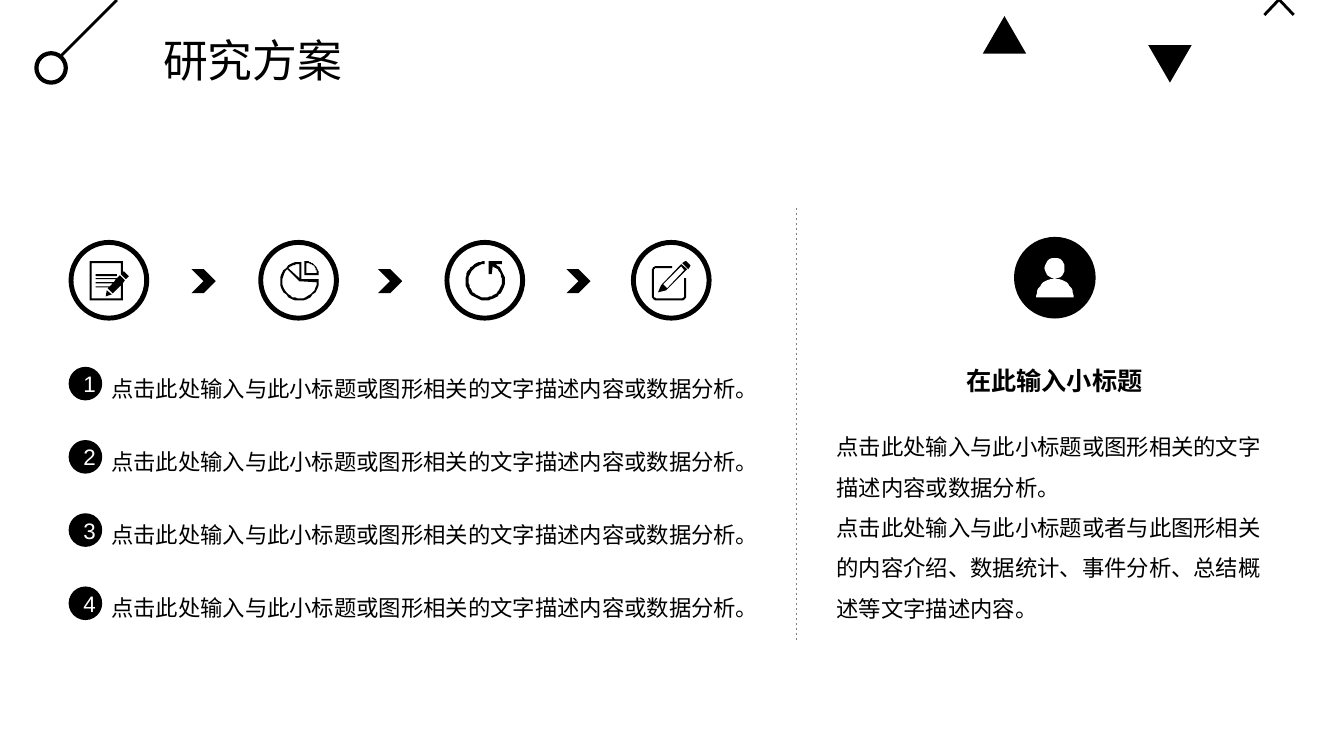
from math import cos, radians, sin

from lxml import etree
from pptx import Presentation
from pptx import util as u
from pptx.dml.color import RGBColor
from pptx.enum import dml, shapes, text
from pptx.oxml import ns

Pt = u.Pt
S = shapes.MSO_SHAPE
COLORS = {"ink": "000000", "paper": "FFFFFF", "rule": "808080"}
FONT = "Arial"
GRID = Pt(0.72)  # one unit of the icon outlines
BODY = "点击此处输入与此小标题或图形相关的文字描述内容或数据分析。"
DETAIL = "点击此处输入与此小标题或者与此图形相关的内容介绍、数据统计、事件分析、总结概述等文字描述内容。"


def color(name):
    return RGBColor.from_string(COLORS[name])


def apply(obj, values):
    for name, value in values.items():
        setattr(obj, name, value)


def arc(cx, cy, r, start, end, steps=24):
    """Points along an arc; angles in degrees, clockwise from the right."""
    angles = [radians(start + (end - start) * i / steps) for i in range(steps + 1)]
    return [(cx + r * cos(a), cy + r * sin(a)) for a in angles]


# Icon outlines: each icon is a list of closed contours
NOTE = [
    [(17, 29), (22, 33), (16, 35)],
    [(6, 13), (27, 13), (27, 15), (6, 15)],
    [(0, 0), (33, 0), (33, 11), (34, 10), (39, 15), (36, 18), (31, 13), (31, 2),
     (2, 2), (2, 37), (31, 37), (31, 24), (23, 32), (18, 27), (19, 26), (6, 26),
     (6, 25), (20, 25), (23, 22), (6, 22), (6, 21), (24, 21), (26, 18), (6, 18),
     (6, 17), (27, 17), (30, 14), (35, 19), (33, 22), (33, 39), (0, 39)],
]
PIE = [
    arc(20, 20, 17, 3, 225) + [(20, 20)],
    arc(20, 20, 17, 230, 270) + [(20, 17)],
    arc(20, 20, 19, 0, 270) + [(22, 1), (22, 18), (39, 18)],
    arc(25, 14, 14, 270, 360) + [(25, 14)],
    arc(27, 12, 10, 270, 360) + [(27, 12)],
]
CYCLE = [
    [(23, 0), (36, 0), (36, 3), (30, 3)]
    + arc(19.5, 19.5, 19.5, -57, 270, 48)
    + arc(19.5, 19.5, 16.5, 270, -64, 48)
    + [(26, 13), (23, 13)],
]
EDIT = [
    [(29, 5), (11, 23), (15, 27), (32, 9)],
    [(29, 3), (35, 8), (14, 29), (6, 31), (9, 24)],
    [(33, 0), (34, 0), (38, 4), (38, 5), (36, 8), (30, 2)],
    [(20, 5), (20, 7)]
    + arc(5, 10, 3, 270, 180, 6) + arc(5, 34, 3, 180, 90, 6)
    + arc(29, 34, 3, 90, 0, 6) + [(32, 17), (34, 17)]
    + arc(30, 35, 4, 0, 90, 6) + arc(4, 35, 4, 90, 180, 6)
    + arc(4, 9, 4, 180, 270, 6),
]
PERSON = [arc(18.5, 10, 10, 0, 360), arc(18.5, 39, 18.5, 180, 360)]


def paint(sp, fill="ink"):
    sp.shadow.inherit = False
    sp.fill.solid()
    sp.fill.fore_color.rgb = color(fill)
    sp.line.fill.background()
    return sp


def add_shape(s, kind, x, y, w, h, fill="ink", adj=None):
    sp = paint(s.shapes.add_shape(kind, Pt(x), Pt(y), Pt(w), Pt(h)), fill)
    if adj is not None:
        sp.adjustments[0] = adj
    return sp


def add_icon(s, contours, x, y, fill="ink"):
    builder = s.shapes.build_freeform(*contours[0][0], scale=GRID)
    for i, contour in enumerate(contours):
        if i:
            builder.move_to(*contour[0])
        builder.add_line_segments(contour[1:], close=True)
    return paint(builder.convert_to_shape(Pt(x), Pt(y)), fill)


def add_line(s, x1, y1, x2, y2, ink, width, dash=None):
    line = s.shapes.add_connector(
        shapes.MSO_CONNECTOR.STRAIGHT, Pt(x1), Pt(y1), Pt(x2), Pt(y2))
    line.line.color.rgb = color(ink)
    apply(line.line, {"width": Pt(width), "dash_style": dash})
    etree.SubElement(line._element.spPr, ns.qn("a:effectLst"))


def write(sp, lines, size, ink="ink", bold=False, **paragraph):
    tf = sp.text_frame
    for i, line in enumerate(lines):
        p = tf.add_paragraph() if i else tf.paragraphs[0]
        apply(p, paragraph)
        r = p.add_run()
        r.text = line
        apply(r.font, {"name": FONT, "size": Pt(size), "bold": bold})
        r.font.color.rgb = color(ink)


def add_text(s, x, y, w, h, lines, size, frame=None, **fmt):
    sp = s.shapes.add_textbox(Pt(x), Pt(y), Pt(w), Pt(h))
    apply(sp.text_frame, {"word_wrap": True, "margin_left": 0, "margin_right": 0,
                          "auto_size": text.MSO_AUTO_SIZE.SHAPE_TO_FIT_TEXT,
                          **(frame or {})})
    write(sp, lines, size, **fmt)


def add_numbered_row(s, number, y):
    badge = add_shape(s, S.OVAL, 49, y, 24, 24)
    badge.text_frame.vertical_anchor = text.MSO_ANCHOR.MIDDLE
    write(badge, [str(number)], 16, "paper", alignment=text.PP_ALIGN.CENTER)
    add_text(s, 79.4, y - 2.7, 480, 31.7, [BODY], 16, line_spacing=1.25)


def main():
    prs = Presentation()
    apply(prs, {"slide_width": Pt(960), "slide_height": Pt(540)})
    s = prs.slides.add_slide(prs.slide_layouts[6])

    # Header ornaments
    add_line(s, 41, 42.5, 83.5, 0, "ink", 2)
    knob = add_shape(s, S.OVAL, 26, 38, 21, 21, "paper")
    knob.line.color.rgb = color("ink")
    knob.line.width = Pt(3)
    add_shape(s, S.ISOSCELES_TRIANGLE, 702, 11.5, 31, 26.8)
    add_shape(s, S.ISOSCELES_TRIANGLE, 820.2, 32.2, 31, 26.8).rotation = 180
    add_shape(s, S.MATH_MULTIPLY, 893.5, -21.6, 40.3, 42.5, adj=0.05)

    # Title
    add_text(s, 109.4, 19.4, 560, 46, ["研究方案"], 32,
             {"margin_left": Pt(7.2), "margin_right": Pt(7.2),
              "vertical_anchor": text.MSO_ANCHOR.MIDDLE})

    # Process chain
    for x, icon in zip((49, 184.5, 317.5, 450.7), (NOTE, PIE, CYCLE, EDIT)):
        add_icon(s, icon, x + 15, 186.5)
        add_shape(s, S.DONUT, x, 171.4, 57.6, 57.6, adj=0.061)
    for x in (136.8, 270, 404.6):
        add_shape(s, S.CHEVRON, x, 192.2, 17.3, 17.3)

    # Numbered rows
    for i in range(4):
        add_numbered_row(s, i + 1, 262 + 52.3 * i)

    # Side panel
    add_line(s, 568.8, 148.3, 568.8, 457.2, "rule", 0.5, dml.MSO_LINE.DASH)
    add_shape(s, S.OVAL, 724.3, 169.2, 58.3, 58.3)
    add_icon(s, PERSON, 740.2, 184.3, "paper")
    add_text(s, 597.6, 252, 311, 34.6, ["在此输入小标题"], 18, bold=True,
             alignment=text.PP_ALIGN.CENTER, line_spacing=1.25)
    add_text(s, 597.6, 296.6, 311, 152.6, [BODY, DETAIL], 16, line_spacing=1.5)

    prs.save("out.pptx")


if __name__ == "__main__":
    main()
